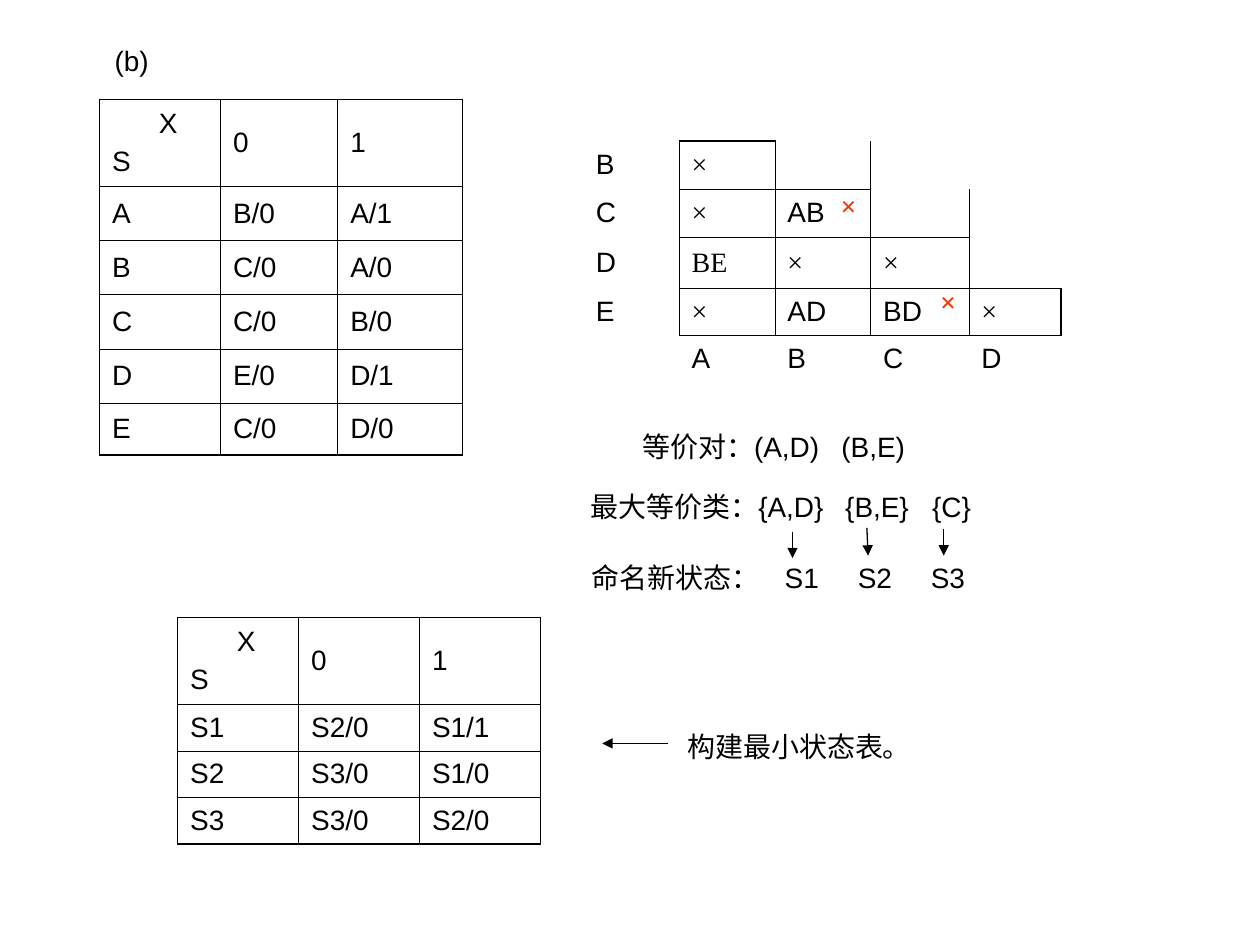
"""Build a slide on state minimisation with state tables and an implication chart."""
from lxml.etree import SubElement
from pptx import Presentation
from pptx.dml.color import RGBColor
from pptx.enum.shapes import MSO_CONNECTOR
from pptx.enum.text import MSO_ANCHOR, PP_ALIGN
from pptx.oxml.ns import qn
from pptx.util import Inches, Pt


def color(value):
    return RGBColor.from_string(value)


def write(para, text, typeface="Arial", ink="000000", bold=False):
    para.add_run().text = text
    para.font.size = Pt(16)
    para.font.name = typeface
    para.font.bold = bold
    para.font.color.rgb = color(ink)


deck = Presentation()
deck.slide_width, deck.slide_height = Inches(10), Inches(7.5)
page = deck.slides.add_slide(deck.slide_layouts[6])

NO_GRID_STYLE = "{2D5ABB26-0587-4C30-8999-92F81FD0307C}"
CORNER = "X\nS"
SIDES = {"a:lnL": (0, -1), "a:lnR": (0, 1), "a:lnT": (-1, 0), "a:lnB": (1, 0)}

state_rows = [
    [CORNER, "0", "1"],
    ["A", "B/0", "A/1"],
    ["B", "C/0", "A/0"],
    ["C", "C/0", "B/0"],
    ["D", "E/0", "D/1"],
    ["E", "C/0", "D/0"],
]
implication_rows = [
    ["B", "×", "", "", ""],
    ["C", "×", "AB", "", ""],
    ["D", "BE", "×", "×", ""],
    ["E", "×", "AD", "BD", "×"],
    ["", "A", "B", "C", "D"],
]
minimal_rows = [
    [CORNER, "0", "1"],
    ["S1", "S2/0", "S1/1"],
    ["S2", "S3/0", "S1/0"],
    ["S3", "S3/0", "S2/0"],
]
full_state = {(row, col) for row in range(6) for col in range(3)}
staircase = {(row, col) for row in range(4) for col in range(1, row + 2)}
full_minimal = {(row, col) for row in range(4) for col in range(3)}

tables = [
    (0.79, 0.79, [0.96, 0.93, 0.99], [0.69] + [0.43] * 4 + [0.41], state_rows, full_state),
    (4.63, 1.12, [0.76, 0.76, 0.76, 0.78, 0.73], [0.37, 0.37, 0.41, 0.37, 0.37],
     implication_rows, staircase),
    (1.41, 4.9, [0.96] * 3, [0.69] + [0.37] * 3, minimal_rows, full_minimal),
]
for left, top, widths, heights, rows, boxed in tables:
    frame = page.shapes.add_table(
        len(heights), len(widths), Inches(left), Inches(top),
        Inches(sum(widths)), Inches(sum(heights)))
    table = frame.table
    table.first_row = table.horz_banding = False
    table._tbl.tblPr.find(qn("a:tableStyleId")).text = NO_GRID_STYLE
    for column, width in zip(table.columns, widths):
        column.width = Inches(width)
    for line, height in zip(table.rows, heights):
        line.height = Inches(height)
    for row, texts in enumerate(rows):
        for col, text in enumerate(texts):
            cell = table.cell(row, col)
            cell.vertical_anchor = MSO_ANCHOR.MIDDLE
            typeface = "Times New Roman" if text in ("×", "BE") else "Arial"
            for index, part in enumerate(text.split("\n")):
                para = cell.text_frame.paragraphs[0] if index == 0 else cell.text_frame.add_paragraph()
                if part == "X":
                    para._p.get_or_add_pPr().set("marL", str(Inches(0.37)))
                if index:
                    para.space_before = Pt(4)
                write(para, part, typeface)
            properties = cell._tc.get_or_add_tcPr()
            for side, (down, right) in SIDES.items():
                neighbour = (row + down, col + right)
                if (row, col) not in boxed and neighbour not in boxed:
                    continue
                inside = 0 <= neighbour[0] < len(heights) and 0 <= neighbour[1] < len(widths)
                border = SubElement(properties, qn(side), w=str(Pt(0.45 if inside else 1.08)))
                SubElement(SubElement(border, qn("a:solidFill")), qn("a:srgbClr"), val="000000")
            cell.fill.background()

captions = [
    (4.59, 3.84, 4.43, "最大等价类：{A,D}\t{B,E}\t{C}", [2.02, 2.71]),
    (4.6, 4.4, 3.37, "命名新状态：\tS1\tS2\tS3", [1.53, 2.11, 2.69]),
    (5, 3.36, 3.23, "等价对：(A,D)\t(B,E)", [1.58]),
    (5.36, 5.74, 3.1, "构建最小状态表。", []),
    (0.7, 0.3, 0.69, "(b)", []),
    (6.49, 1.45, 0.49, "×", []),
    (7.28, 2.21, 0.49, "×", []),
]
for left, top, width, text, stops in captions:
    box = page.shapes.add_textbox(Inches(left), Inches(top), Inches(width), Inches(0.37))
    box.text_frame.word_wrap = True
    para = box.text_frame.paragraphs[0]
    if stops:
        tabs = SubElement(para._p.get_or_add_pPr(), qn("a:tabLst"))
        for stop in stops:
            SubElement(tabs, qn("a:tab"), pos=str(Inches(stop)), algn="l")
    if text in ("×", "(b)"):
        para.alignment = PP_ALIGN.CENTER
    if text == "×":
        write(para, text, "Times New Roman", "FF3300", True)
    else:
        write(para, text)

arrows = [
    (6.29, 4.22, 6.29, 4.43),
    (6.88, 4.19, 6.89, 4.41),
    (7.49, 4.2, 7.49, 4.41),
    (5.3, 5.9, 4.78, 5.9),
]
for ends in arrows:
    arrow = page.shapes.add_connector(MSO_CONNECTOR.STRAIGHT, *[Inches(end) for end in ends])
    arrow.line.color.rgb = color("000000")
    arrow.line.width = Pt(0.75)
    SubElement(arrow.line._get_or_add_ln(), qn("a:tailEnd"), type="triangle")
    SubElement(arrow._element.spPr, qn("a:effectLst"))

deck.save("out.pptx")
